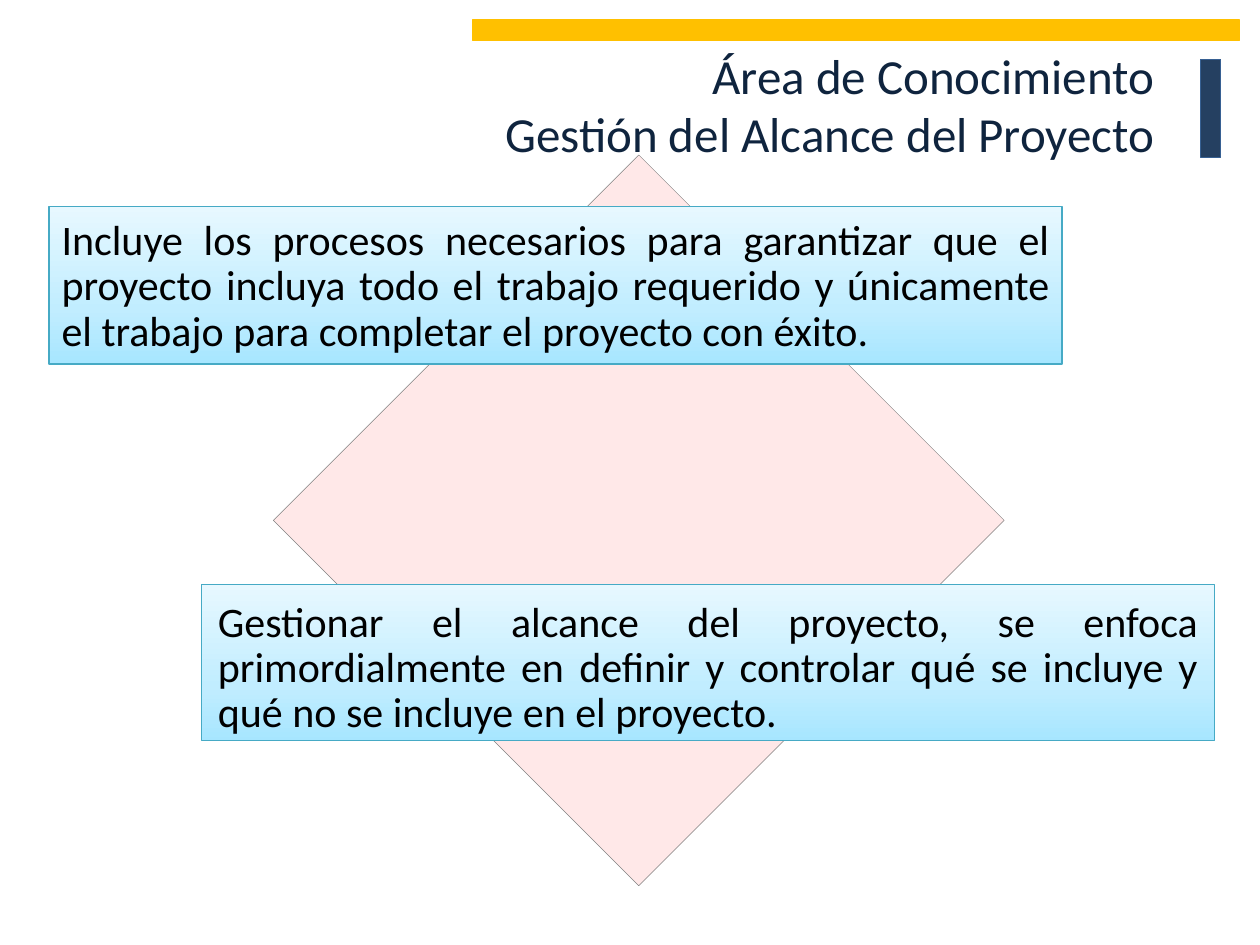
from pptx import Presentation
from pptx.dml.color import RGBColor
from pptx.enum.shapes import MSO_CONNECTOR, MSO_SHAPE
from pptx.enum.text import MSO_ANCHOR, MSO_AUTO_SIZE, PP_ALIGN
from pptx.oxml.ns import qn
from pptx.util import Inches, Pt
from lxml.etree import SubElement
from copy import deepcopy


def color(value):
    return RGBColor.from_string(value)


class SlideBuilder:
    font = "Calibri"
    gradient = [(0, "A7E6FF"), (0.35, "C1EDFF"), (1, "E7F8FF")]

    def __init__(self, presentation):
        self.slide = presentation.slides.add_slide(presentation.slide_layouts[5])

    def shape(self, kind, box, fill, line, width=0.75):
        shape = self.slide.shapes.add_shape(kind, *map(Inches, box))
        shape.shadow.inherit = False
        if fill:
            shape.fill.solid()
            shape.fill.fore_color.rgb = color(fill)
        shape.line.color.rgb = color(line)
        shape.line.width = Pt(width)
        return shape

    def format_text(self, text_frame, size, ink, alignment, spacing):
        text_frame.word_wrap = True
        text_frame.auto_size = MSO_AUTO_SIZE.NONE
        for paragraph in text_frame.paragraphs:
            paragraph.alignment = alignment
            paragraph.line_spacing = spacing
            for run in paragraph.runs:
                run.font.name = self.font
                run.font.size = Pt(size)
                run.font.color.rgb = color(ink)

    def title(self, text, box):
        title = self.slide.shapes.title
        title.left, title.top, title.width, title.height = map(Inches, box)
        title.text_frame.text = text
        title.text_frame.vertical_anchor = MSO_ANCHOR.MIDDLE
        self.format_text(title.text_frame, 28, "0F243E", PP_ALIGN.RIGHT, 1)
        self.slide.shapes.element.append(title.element)

    def panel(self, text, box, inset):
        panel = self.shape(MSO_SHAPE.RECTANGLE, box, None, "46AAC5")
        panel.fill.gradient()
        panel.fill.gradient_angle = 90
        stop_list = panel.element.spPr.find(qn("a:gradFill")).find(qn("a:gsLst"))
        stop_list.append(deepcopy(stop_list[0]))
        for stop, (position, value) in zip(panel.fill.gradient_stops, self.gradient):
            stop.position = position
            stop.color.rgb = color(value)
        text_frame = panel.text_frame
        text_frame.text = text
        text_frame.vertical_anchor = MSO_ANCHOR.TOP
        text_frame.margin_left = text_frame.margin_right = Inches(inset)
        text_frame.margin_top = text_frame.margin_bottom = Inches(inset)
        self.format_text(text_frame, 24, "000000", PP_ALIGN.JUSTIFY, 0.9)

    def rule(self, left, top, width, ink):
        points = map(Inches, (left, top, left + width, top))
        connector = self.slide.shapes.add_connector(MSO_CONNECTOR.STRAIGHT, *points)
        connector.line.color.rgb = color(ink)
        connector.line.width = Pt(0.75)
        SubElement(connector.element.spPr, qn("a:effectLst"))


presentation = Presentation()
presentation.slide_width = Inches(10)
presentation.slide_height = Inches(7.5)

builder = SlideBuilder(presentation)
builder.shape(MSO_SHAPE.RECTANGLE, (9.53, 0.47, 0.16, 0.78), "254061", "376092")
builder.shape(MSO_SHAPE.RECTANGLE, (3.75, 0.16, 6.09, 0.16), "FFC000", "FFC000")
builder.shape(MSO_SHAPE.DIAMOND, (2.17, 1.23, 5.8, 5.8), "FFE8E8", "808080", 0.25)
builder.title("Área de Conocimiento\nGestión del Alcance del Proyecto", (0.51, 0, 8.75, 1.65))
builder.rule(0.39, 1.64, 8.04, "4F81BD")
builder.panel(
    "Incluye los procesos necesarios para garantizar que el proyecto incluya todo "
    "el trabajo requerido y únicamente el trabajo para completar el proyecto con éxito.",
    (0.39, 1.64, 8.04, 1.25), 0.1)
builder.panel(
    "Gestionar el alcance del proyecto, se enfoca primordialmente en definir y "
    "controlar qué se incluye y qué no se incluye en el proyecto.",
    (1.6, 4.64, 8.04, 1.24), 0.13)

presentation.save("out.pptx")
